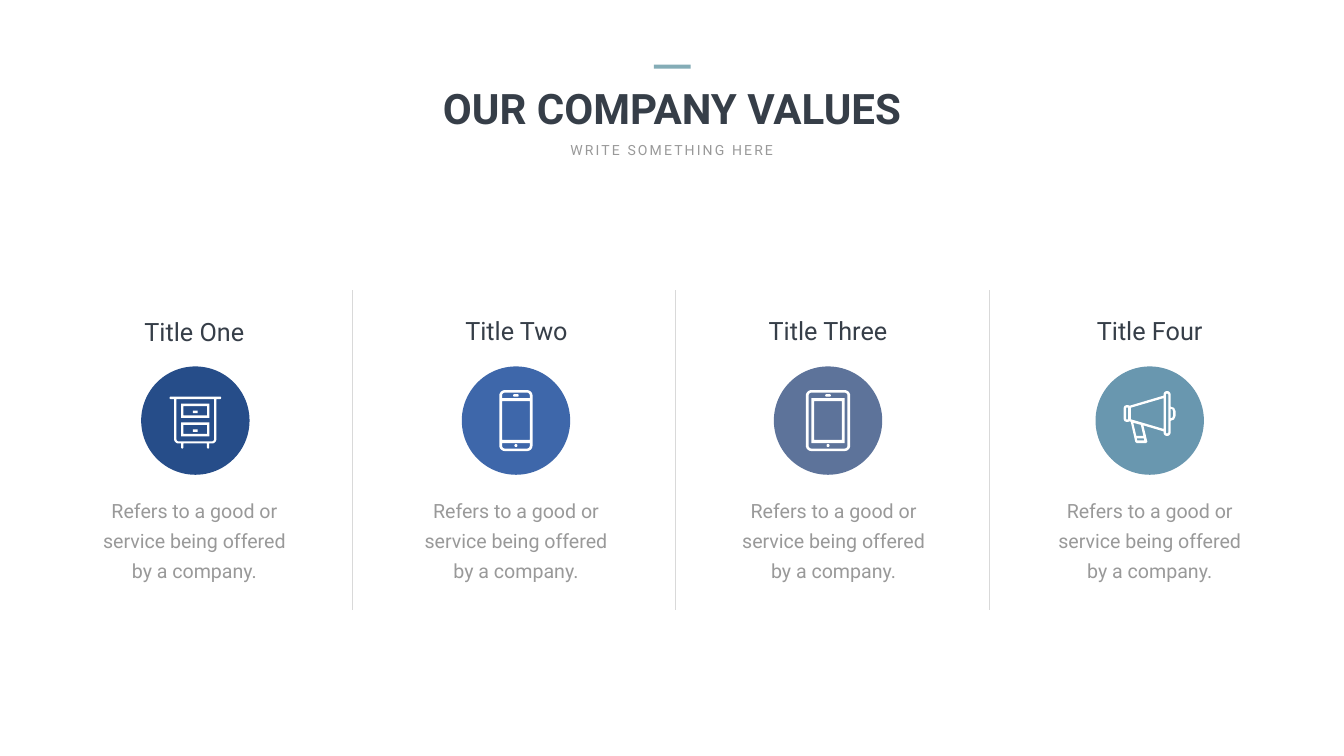
import math
from dataclasses import dataclass

from lxml import etree
from pptx import Presentation
from pptx import util as u
from pptx.dml.color import RGBColor
from pptx.enum import shapes, text
from pptx.oxml.ns import qn

FONT = "Roboto"
DARK, GRAY, RULE, ACCENT, WHITE = "363E48", "999999", "D9D9D9", "84ACB6", "FFFFFF"
CIRCLE_TOP, CIRCLE_SIZE = 523.44, 154.8
BODY = "Refers to a good or service being offered by a company."


@dataclass
class Column:
    title: str
    color: str
    title_center: float
    title_top: float
    circle_center: float
    body_center: float
    icon_top: float
    icon: list


def color(value):
    return RGBColor.from_string(value)


def write(box, words, size=28, ink=DARK, bold=False, spacing=0, leading=None,
          inset=(7.2, 3.6), wrap=True):
    frame = box.text_frame
    frame.word_wrap = wrap
    frame.auto_size = text.MSO_AUTO_SIZE.SHAPE_TO_FIT_TEXT
    frame.vertical_anchor = text.MSO_ANCHOR.TOP
    frame.margin_left = frame.margin_right = u.Pt(inset[0])
    frame.margin_top = frame.margin_bottom = u.Pt(inset[1])
    para = frame.paragraphs[0]
    para.alignment = text.PP_ALIGN.CENTER
    if leading:
        para.line_spacing = u.Pt(leading)
    span = para.add_run()
    span.text = words
    span.font.name, span.font.size, span.font.bold = FONT, u.Pt(size), bold
    span.font.color.rgb = color(ink)
    if spacing:
        span._r.get_or_add_rPr().set("spc", str(spacing * 100))


def add_text(page, words, center, top, width, height, **style):
    box = page.shapes.add_textbox(u.Pt(center - width / 2), u.Pt(top), u.Pt(width), u.Pt(height))
    write(box, words, **style)


def paint(shape, fill):
    shape.shadow.inherit = False
    shape.fill.solid()
    shape.fill.fore_color.rgb = color(fill)
    shape.line.fill.background()


def add_filled(page, kind, left, top, width, height, fill):
    paint(page.shapes.add_shape(kind, u.Pt(left), u.Pt(top), u.Pt(width), u.Pt(height)), fill)


def add_divider(page, x, top, bottom):
    line = page.shapes.add_connector(
        shapes.MSO_CONNECTOR.STRAIGHT, u.Pt(x), u.Pt(top), u.Pt(x), u.Pt(bottom))
    line.line.color.rgb = color(RULE)
    line.line.width = u.Pt(0.5)
    etree.SubElement(line._element.spPr, qn("a:effectLst"))


def rounded(x, y, width, height, top=0, bottom=0):
    """Outline of a rectangle with its own radius for top and bottom corners."""
    corners = [(x + top, y + top, top, 180), (x + width - top, y + top, top, 270),
               (x + width - bottom, y + height - bottom, bottom, 0),
               (x + bottom, y + height - bottom, bottom, 90)]
    points = []
    for cx, cy, radius, start in corners:
        for step in range(7 if radius else 1):
            angle = math.radians(start + 15 * step)
            points.append((cx + radius * math.cos(angle), cy + radius * math.sin(angle)))
    return points


def add_icon(page, contours, center, top):
    """Draw nested contours as one outline; inner ones become holes."""
    left = center - max(x for contour in contours for x, _ in contour) / 2
    placed = [[(u.Pt(left + x), u.Pt(top + y)) for x, y in contour] for contour in contours]
    builder = page.shapes.build_freeform(*placed[0][0], scale=1.0)
    for index, contour in enumerate(placed):
        if index:
            builder.move_to(*contour[0])
        builder.add_line_segments(contour[1:], close=True)
    paint(builder.convert_to_shape(), WHITE)


def cabinet():
    contours = [rounded(0, 0, 73.8, 3.6, 1.8, 1.8),
                rounded(6.5, 3.6, 60.5, 63.4, bottom=6.5),
                rounded(9.8, 3.6, 54, 60.5, bottom=3.6)]
    contours += [rounded(x, 67, 3.2, 7.2, bottom=1.6) for x in (16.6, 53.5)]
    for y in (10.1, 36.7):  # drawers with handles
        contours += [rounded(16.6, y, 40.3, 20.2), rounded(19.8, y + 3.6, 33.8, 13),
                     rounded(33.5, y + 10.1, 6.5, 3.6)]
    return contours


def device_details(center):
    """Screen, speaker and button shared by phone and tablet."""
    return [rounded(center - 19.8, 15.8, 39.6, 55.4),
            rounded(center - 4, 5.8, 8, 3.6, 1.8, 1.8),
            rounded(center - 2.15, 77, 4.3, 4.3, 2.15, 2.15)]


def phone():
    return [rounded(0, 0, 47.5, 87.1, 8, 8), rounded(3.95, 3.6, 39.6, 7.9, top=4),
            rounded(3.95, 75.6, 39.6, 7.9, bottom=4)] + device_details(23.75)


def tablet():
    return [rounded(0, 0, 63.4, 87.1, 8, 8), rounded(4, 3.6, 55.4, 79.9, 4, 4),
            rounded(7.95, 11.5, 47.5, 64.1)] + device_details(31.7)


def megaphone():
    silhouette = [(3.6, 20.2), (6.5, 20.2), (8.6, 20.9), (56.9, 6.5), (56.9, 57.6), (28.1, 49),
                  (33.8, 72.5), (32, 74.2), (18.7, 74.2), (16.6, 72.7), (10.1, 43.9),
                  (8.6, 43.2), (6.5, 43.9), (3.6, 43.9), (1, 42.9), (0, 40.3), (0, 23.8), (1, 21.2)]
    bell = [(10.1, 23.8), (56.9, 10.1), (56.9, 54), (10.1, 40.3)]
    handle = [(28.1, 64.1), (18, 64.1), (13.7, 45.4), (24.5, 48.2)]
    handle_end = [(29.5, 70.6), (19.4, 70.6), (18.7, 67.7), (28.8, 67.7)]
    knob = [(67, 22.3), (72, 24), (74.2, 28.8), (74.2, 35.3), (72, 40.5), (67, 42.5)]
    knob_hole = [(67, 25.2), (69.5, 26), (70.6, 28.8), (70.6, 35.3), (69.5, 38), (67, 38.9)]
    return [silhouette, bell, handle, handle_end, knob, knob_hole, rounded(3.6, 23.8, 2.9, 16.5),
            rounded(56.9, 0, 10.1, 64.1, 5, 5), rounded(60.2, 3.6, 3.5, 56.9, 1.7, 1.7)]


def add_header(page):
    title = page.shapes.title
    title.left, title.top, title.width, title.height = (
        u.Pt(554.4), u.Pt(114.5), u.Pt(810.7), u.Pt(79.9))
    write(title, "OUR COMPANY VALUES", size=60, bold=True)
    add_text(page, "WRITE SOMETHING HERE", 959.4, 198, 313.2, 31.7,
             size=20, ink=GRAY, spacing=3, wrap=False)
    add_filled(page, shapes.MSO_SHAPE.RECTANGLE, 933.8, 92.2, 52.6, 5.8, ACCENT)


def add_column(page, column):
    add_filled(page, shapes.MSO_SHAPE.OVAL, column.circle_center - CIRCLE_SIZE / 2,
               CIRCLE_TOP, CIRCLE_SIZE, CIRCLE_SIZE, column.color)
    add_text(page, column.title, column.title_center, column.title_top, 300, 51.1, size=36)
    add_icon(page, column.icon, column.circle_center, column.icon_top)
    add_text(page, BODY, column.body_center, 694.1, 300.2, 142.6,
             ink=GRAY, leading=43, inset=(17.3, 8.6))


def main():
    deck = Presentation()
    deck.slide_width, deck.slide_height = u.Pt(1919.52), u.Pt(1080)
    page = deck.slides.add_slide(deck.slide_layouts[5])
    add_header(page)

    # Four values, each with title, icon and description
    columns = [
        Column("Title One", "264D89", 277.6, 448.6, 279, 277.6, 566.6, cabinet()),
        Column("Title Two", "3E67AA", 737.6, 446.4, 736.9, 736.9, 557.3, phone()),
        Column("Title Three", "5D739A", 1182.6, 446.4, 1182.6, 1190.5, 557.3, tablet()),
        Column("Title Four", "6997AF", 1642, 446.4, 1642, 1642, 558.7, megaphone()),
    ]
    for column in columns:
        add_column(page, column)

    # Dividers between the columns
    for x in (503.3, 964.1, 1413.4):
        add_divider(page, x, 414.7, 871.2)

    deck.save("out.pptx")


if __name__ == "__main__":
    main()
